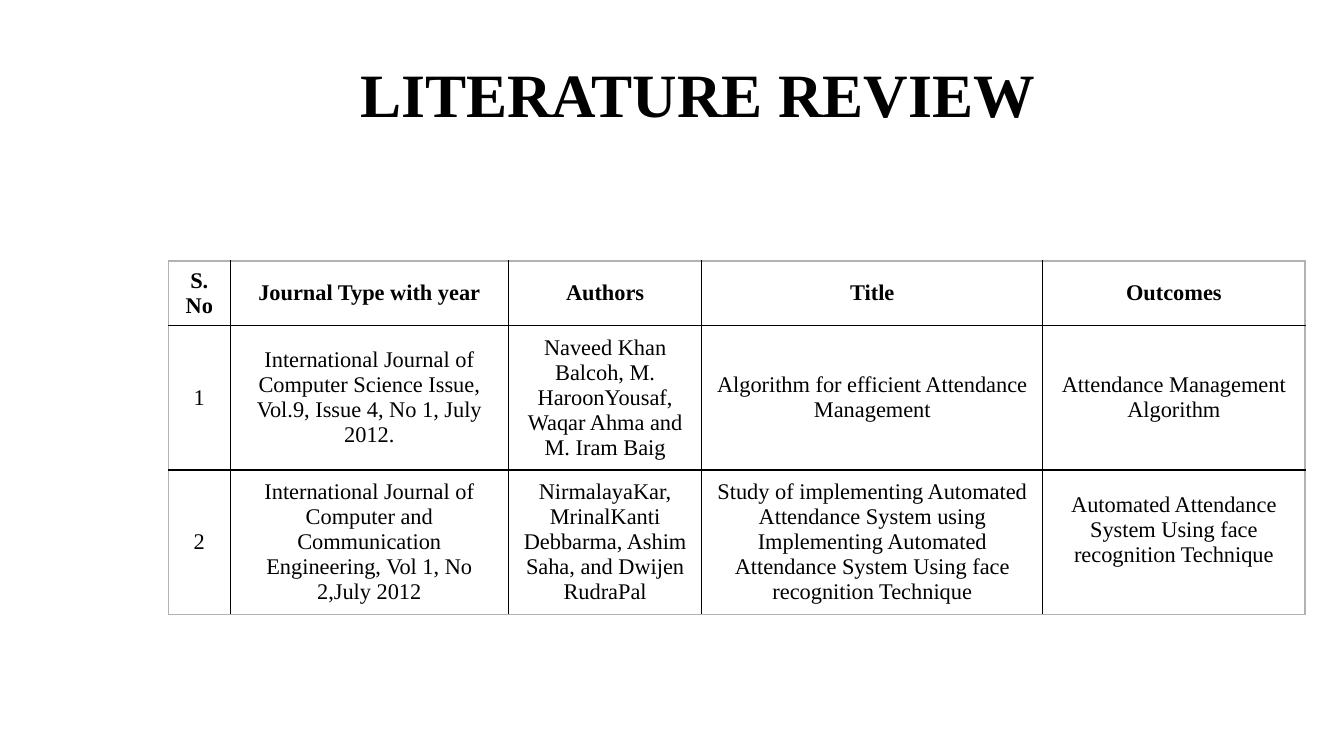
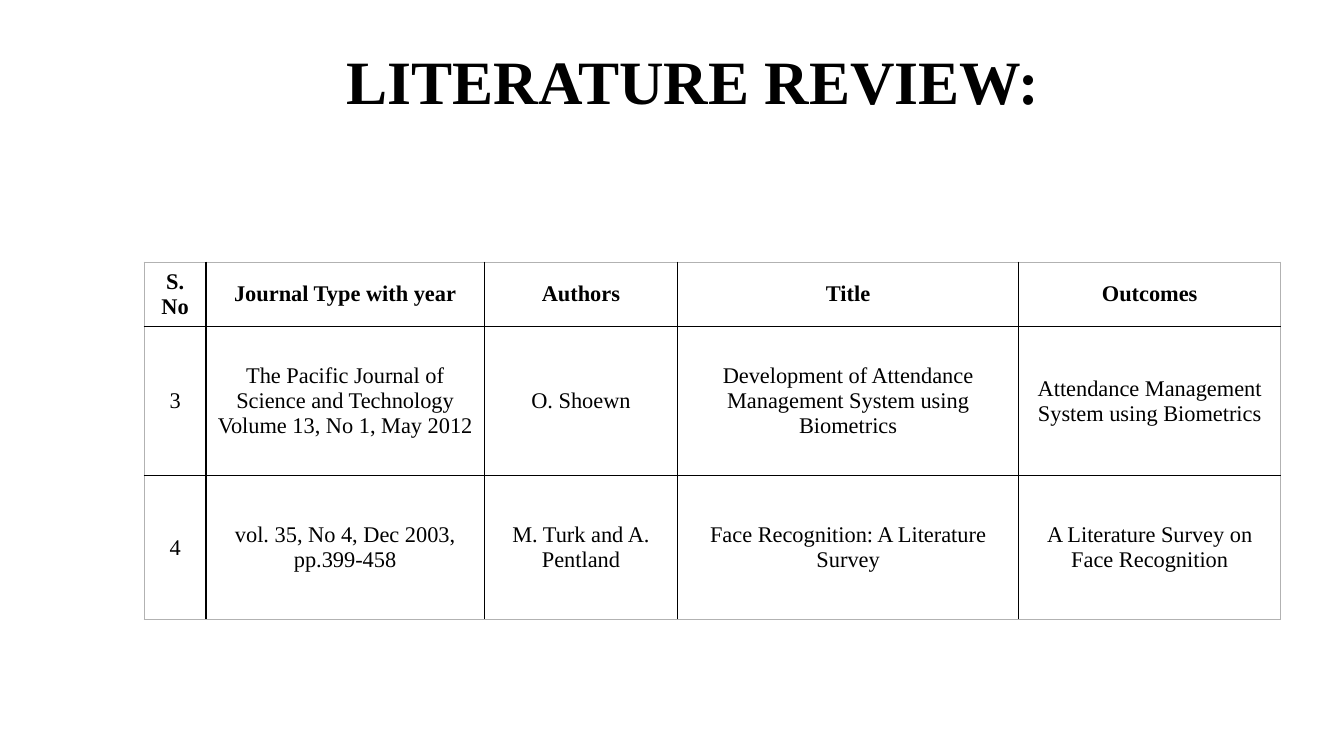
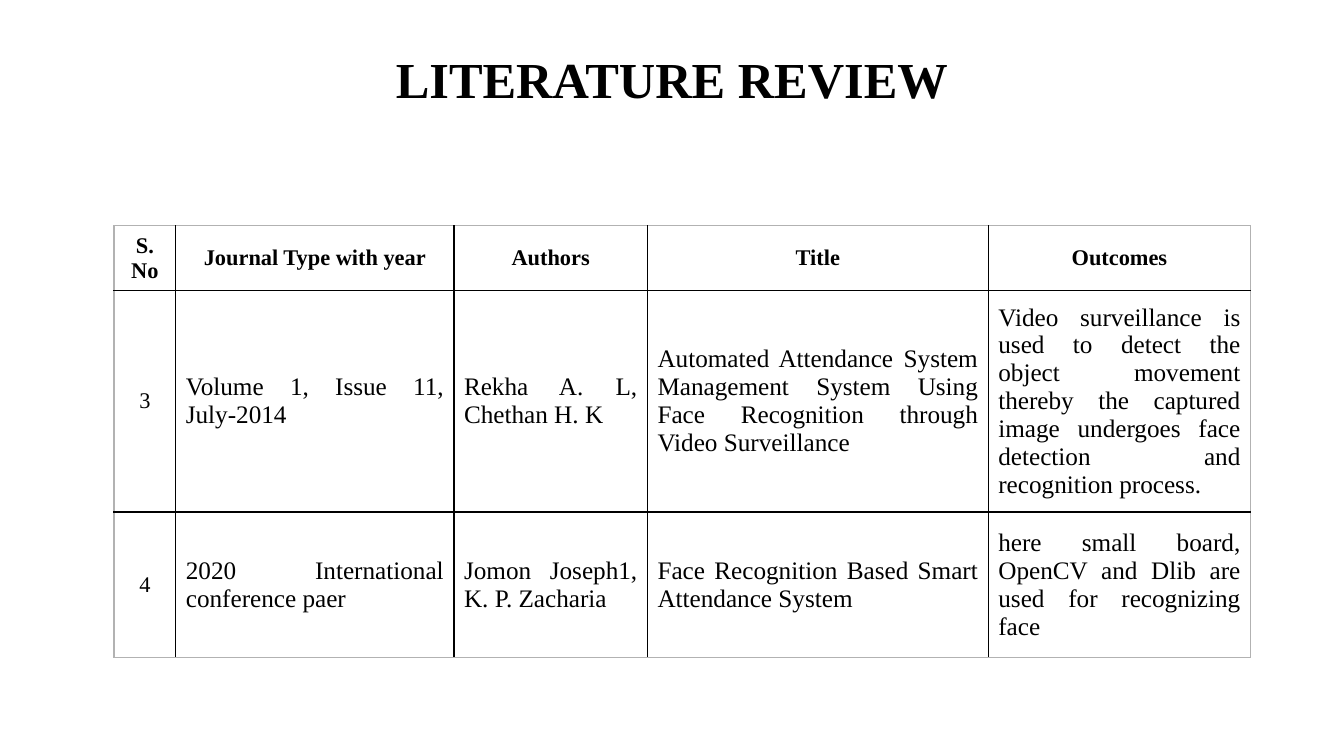
from dataclasses import dataclass

from lxml import etree
from pptx import Presentation
from pptx.dml.color import RGBColor
from pptx.enum.text import MSO_ANCHOR, PP_ALIGN
from pptx.oxml.ns import qn
from pptx.util import Inches, Pt

CENTER = PP_ALIGN.CENTER
JUSTIFY = PP_ALIGN.JUSTIFY
MIDDLE = MSO_ANCHOR.MIDDLE


@dataclass(frozen=True)
class Theme:
    font: str = "Times New Roman"
    ink: str = "000000"
    edge: str = "B2B2B2"
    paper: str = "FFFFFF"
    title_size: int = 44
    small_title_size: int = 36
    body_size: int = 16
    large_body_size: int = 18
    rule_width: float = 1


THEME = Theme()
HEADINGS = ["S. No", "Journal Type with year", "Authors", "Title", "Outcomes"]
COLUMN_SHARES = [4.6, 20.7, 14.4, 25.36, 19.52]
HEADER_SHARE = 8.53
TITLE_WIDTH = 72.24


def write(frame, text, size, bold=False, align=CENTER, spacing=None):
    paragraph = frame.paragraphs[0]
    paragraph.alignment = align
    paragraph.line_spacing = spacing
    run = paragraph.add_run()
    run.text = text
    run.font.name = THEME.font
    run.font.size = Pt(size)
    run.font.bold = bold
    run.font.color.rgb = RGBColor.from_string(THEME.ink)


class Deck:
    def __init__(self):
        self.presentation = Presentation()
        self.presentation.slide_width = Inches(13.33)
        self.presentation.slide_height = Inches(7.5)
        self.slide = None

    def x(self, percent):
        return round(self.presentation.slide_width * percent / 100)

    def y(self, percent):
        return round(self.presentation.slide_height * percent / 100)

    def add_slide(self):
        blank = self.presentation.slide_layouts[6]
        self.slide = self.presentation.slides.add_slide(blank)

    def title(self, text, left, top, height=9.2, size=THEME.title_size):
        box = self.slide.shapes.add_textbox(
            self.x(left), self.y(top), self.x(TITLE_WIDTH), self.y(height))
        frame = box.text_frame
        frame.word_wrap = True
        frame.vertical_anchor = MIDDLE
        frame.margin_top = frame.margin_bottom = 0
        write(frame, text, size, bold=True, spacing=0.9)

    def rule_cell(self, cell, outer_sides):
        properties = cell._tc.get_or_add_tcPr()
        for side, is_outer in zip(("a:lnL", "a:lnR", "a:lnT", "a:lnB"), outer_sides):
            line = etree.SubElement(properties, qn(side), w=str(Pt(THEME.rule_width)))
            fill = etree.SubElement(line, qn("a:solidFill"))
            etree.SubElement(fill, qn("a:srgbClr"),
                             val=THEME.edge if is_outer else THEME.ink)

    def review_table(self, entries, left, top, row_shares,
                     size=THEME.body_size, align=CENTER):
        rows = [HEADINGS, *entries]
        heights = [HEADER_SHARE, *row_shares]
        last_row, last_column = len(rows) - 1, len(HEADINGS) - 1
        table = self.slide.shapes.add_table(
            len(rows), len(HEADINGS), self.x(left), self.y(top),
            self.x(sum(COLUMN_SHARES)), self.y(sum(heights))).table
        table.first_row = table.horz_banding = False
        for column, share in zip(table.columns, COLUMN_SHARES):
            column.width = self.x(share)
        for row, share in zip(table.rows, heights):
            row.height = self.y(share)
        for r, texts in enumerate(rows):
            for c, text in enumerate(texts):
                cell = table.cell(r, c)
                self.rule_cell(cell, (c == 0, c == last_column, r == 0, r == last_row))
                cell.fill.solid()
                cell.fill.fore_color.rgb = RGBColor.from_string(THEME.paper)
                cell.vertical_anchor = MIDDLE
                detail = r > 0 and c > 0
                write(cell.text_frame, text, size if detail else THEME.body_size,
                      bold=r == 0, align=align if detail else CENTER)
        return table


def main():
    deck = Deck()

    deck.add_slide()
    deck.title("LITERATURE REVIEW", 15.82, 8.33)
    journals = deck.review_table([
        ["1",
         "International Journal of Computer Science Issue, Vol.9, Issue 4, No 1, July 2012.",
         "Naveed Khan Balcoh, M. HaroonYousaf, Waqar Ahma and M. Iram Baig",
         "Algorithm for efficient Attendance Management",
         "Attendance Management Algorithm"],
        ["2",
         "International Journal of Computer and Communication Engineering, Vol 1, No 2,July 2012",
         "NirmalayaKar, MrinalKanti Debbarma, Ashim Saha, and Dwijen RudraPal",
         "Study of implementing Automated Attendance System using Implementing "
         "Automated Attendance System Using face recognition Technique",
         "Automated Attendance System Using face recognition Technique"],
    ], 12.53, 34.53, [17.8, 17.8])
    journals.cell(2, 4).margin_bottom = deck.y(4)

    deck.add_slide()
    deck.title("LITERATURE REVIEW:", 15.45, 6.6)
    deck.review_table([
        ["3",
         "The Pacific Journal of Science and Technology Volume 13, No 1, May 2012",
         "O. Shoewn",
         "Development of Attendance Management System using Biometrics",
         "Attendance Management System using Biometrics"],
        ["4",
         "vol. 35, No 4, Dec 2003, pp.399-458",
         "M. Turk and A. Pentland",
         "Face Recognition: A Literature Survey",
         "A Literature Survey on Face Recognition"],
    ], 10.73, 34.67, [19.73, 19.07])

    deck.add_slide()
    deck.title("LITERATURE REVIEW", 13.88, 7.1, height=7.6, size=THEME.small_title_size)
    deck.review_table([
        ["3",
         "Volume 1, Issue 11, July-2014",
         "Rekha A. L, Chethan H. K",
         "Automated Attendance System Management System Using Face Recognition "
         "through Video Surveillance",
         "Video surveillance is used to detect the object movement thereby the "
         "captured image undergoes face detection and recognition process."],
        ["4",
         "2020 International conference paer",
         "Jomon Joseph1, K. P. Zacharia",
         "Face Recognition Based Smart Attendance System",
         "here small board, OpenCV and Dlib are used for recognizing face"],
    ], 8.48, 29.87, [27.12, 19.2], size=THEME.large_body_size, align=JUSTIFY)

    deck.presentation.save("out.pptx")


if __name__ == "__main__":
    main()
